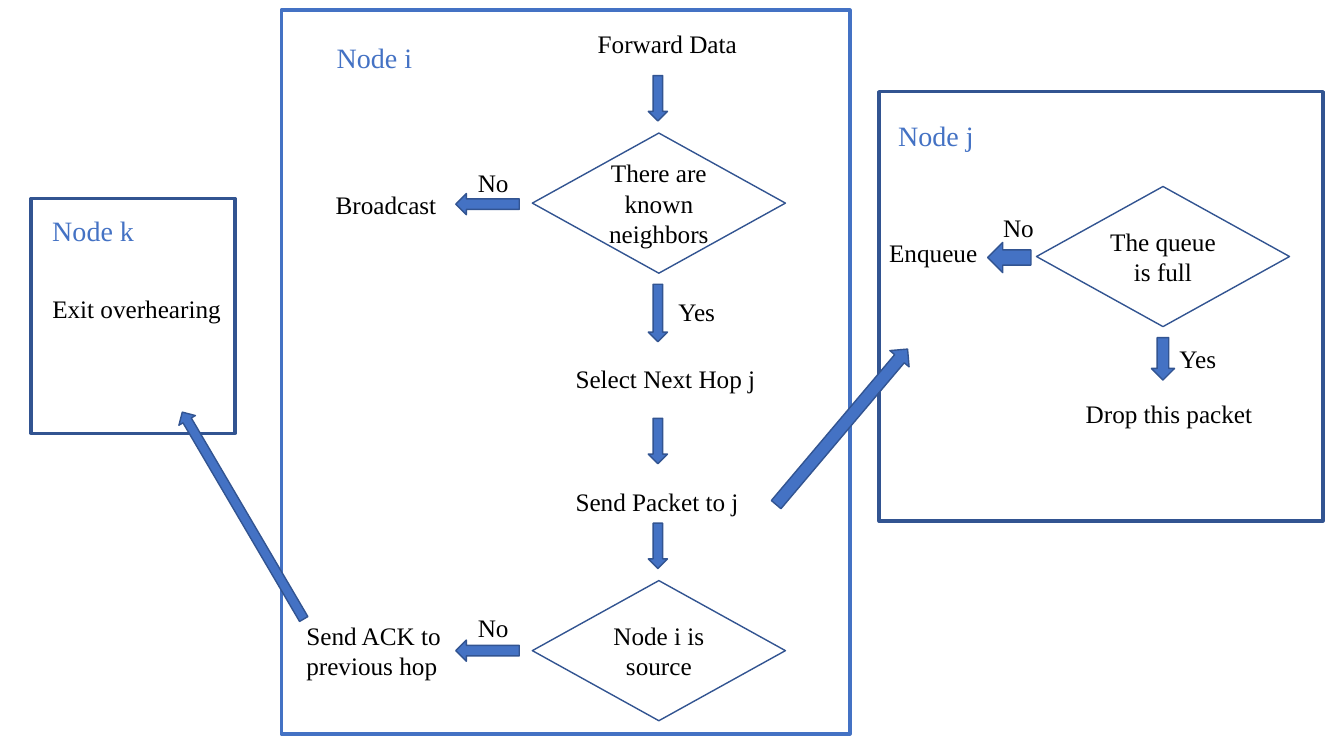
import pptx
import pptx.util
import pptx.dml.color
import pptx.enum.shapes
import pptx.enum.text

Inches = pptx.util.Inches
Kind = pptx.enum.shapes.MSO_SHAPE
Align = pptx.enum.text.PP_ALIGN
Anchor = pptx.enum.text.MSO_ANCHOR
Fit = pptx.enum.text.MSO_AUTO_SIZE

theme = {
    "font": "Times New Roman",
    "body": 18,
    "title": 20,
    "thin": 1,
    "thick": 2.5,
    "blue": "4472C4",
    "navy": "325491",
    "white": "FFFFFF",
    "black": "000000",
}


def write(frame, text, size="body", color="black", align=Align.LEFT, anchor=Anchor.TOP, wrap=True, fit=Fit.NONE):
    frame.word_wrap = wrap
    frame.auto_size = fit
    frame.vertical_anchor = anchor
    para = frame.paragraphs[0]
    para.alignment = align
    run = para.add_run()
    run.text = text
    run.font.name = theme["font"]
    run.font.size = pptx.util.Pt(theme[size])
    run.font.color.rgb = pptx.dml.color.RGBColor.from_string(theme[color])


def draw(home, kind, box, fill="white", line="navy", width="thin", turn=0):
    shape = home.add_shape(kind, *map(Inches, box))
    shape.shadow.inherit = False
    shape.fill.solid()
    shape.fill.fore_color.rgb = pptx.dml.color.RGBColor.from_string(theme[fill])
    shape.line.color.rgb = pptx.dml.color.RGBColor.from_string(theme[line])
    shape.line.width = pptx.util.Pt(theme[width])
    shape.rotation = turn
    return shape


deck = pptx.Presentation()
deck.slide_width = Inches(13.33)
deck.slide_height = Inches(7.5)
slide = deck.slides.add_slide(deck.slide_layouts[6])
page = slide.shapes
node_i = page.add_group_shape().shapes
node_k = page.add_group_shape().shapes

frames = [
    (node_i, "Node i", (2.79, 0.1, 5.64, 7.18), "blue", (3.24, 0.35)),
    (page, "Node j", (8.72, 0.91, 4.4, 4.26), "navy", (8.81, 1.13)),
    (node_k, "Node k", (0.31, 1.97, 2.02, 2.33), "navy", (0.42, 2.07)),
]
for home, name, box, line, spot in frames:
    draw(home, Kind.RECTANGLE, box, line=line, width="thick")
    title = home.add_textbox(*map(Inches, (*spot, 1.3, 0.44)))
    write(title.text_frame, name, size="title", color="blue", fit=Fit.SHAPE_TO_FIT_TEXT)

tests = [
    (node_i, "There are known neighbors", 5.28, 1.32),
    (node_i, "Node i is source", 5.28, 5.76),
    (page, "The queue is full", 10.28, 1.85),
]
for home, text, left, top in tests:
    test = draw(home, Kind.DIAMOND, (left, top, 2.51, 1.39))
    write(test.text_frame, text, align=Align.CENTER, anchor=Anchor.MIDDLE)

for top, high in [(0.75, 0.45), (2.82, 0.57), (4.15, 0.45), (5.19, 0.45)]:
    draw(node_i, Kind.DOWN_ARROW, (6.43, top, 0.19, high), fill="blue")
for top in (1.71, 6.14):
    draw(node_i, Kind.DOWN_ARROW, (4.73, top, 0.21, 0.63), fill="blue", turn=90)
draw(page, Kind.DOWN_ARROW, (11.42, 3.35, 0.23, 0.42), fill="blue")
draw(page, Kind.DOWN_ARROW, (9.86, 2.34, 0.3, 0.43), fill="blue", turn=90)

labels = [
    (node_i, "Forward Data", 5.83, 0.23, 1.6),
    (node_i, "No", 4.64, 1.61, 0.51),
    (node_i, "Broadcast", 3.23, 1.83, 1.21),
    (node_i, "Yes", 6.63, 2.89, 0.57),
    (node_i, "Select Next Hop j", 5.61, 3.56, 2),
    (node_i, "Send Packet to j", 5.61, 4.78, 1.84),
    (node_i, "No", 4.64, 6.03, 0.51),
    (node_k, "Exit overhearing", 0.42, 2.86, 1.89),
    (page, "No", 9.85, 2.06, 0.51),
    (page, "Enqueue", 8.72, 2.31, 1.09),
    (page, "Yes", 11.6, 3.36, 0.57),
    (page, "Drop this packet", 10.67, 3.9, 1.87),
]
for home, text, left, top, wide in labels:
    label = home.add_textbox(*map(Inches, (left, top, wide, 0.4)))
    write(label.text_frame, text, wrap=False, fit=Fit.SHAPE_TO_FIT_TEXT)

reply = node_i.add_textbox(*map(Inches, (2.94, 6.1, 1.59, 0.71)))
write(reply.text_frame, "Send ACK to previous hop", fit=Fit.SHAPE_TO_FIT_TEXT)

draw(page, Kind.RIGHT_ARROW, (1.22, 5.02, 2.38, 0.19), fill="blue", turn=239.6)
draw(page, Kind.RIGHT_ARROW, (7.34, 4.11, 2.02, 0.25), fill="blue", turn=310.2)

deck.save("out.pptx")
